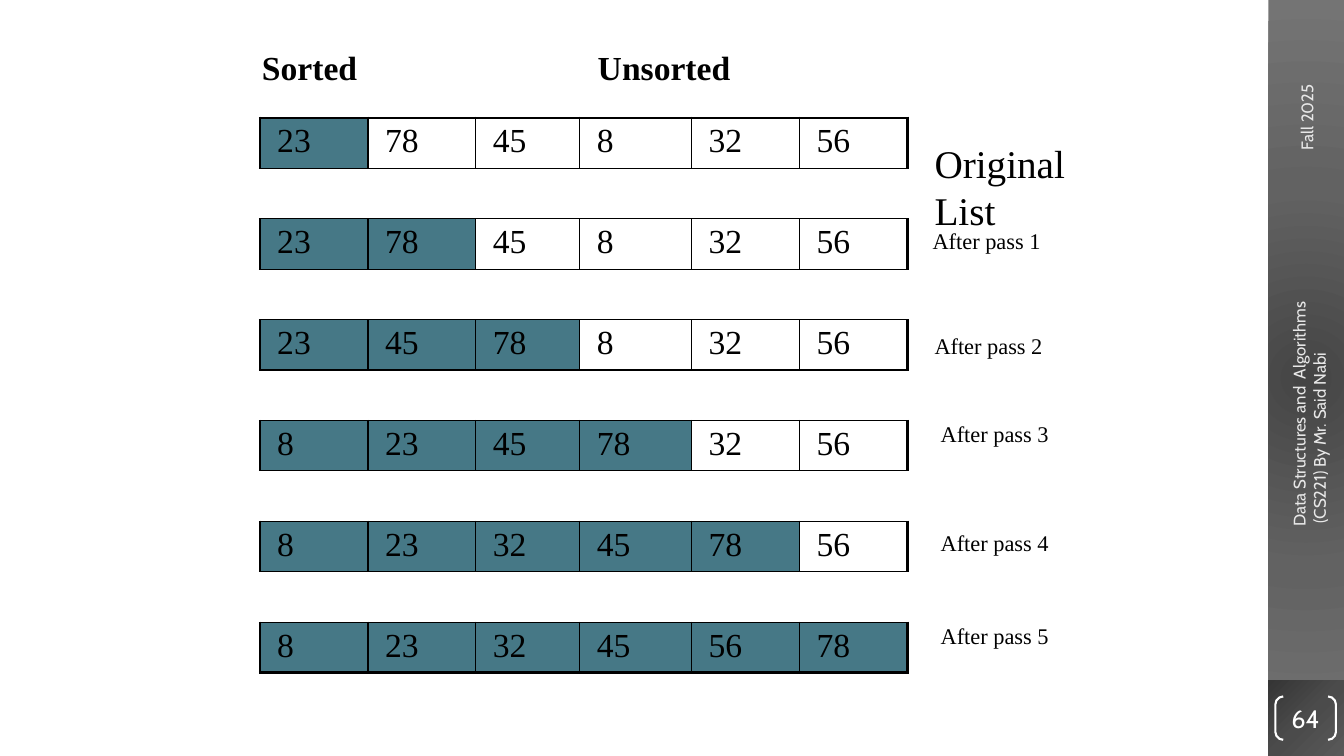
"""Build a slide that traces the passes of an insertion sort."""
import dataclasses

import lxml.etree
import pptx
import pptx.dml.color
import pptx.enum.shapes
import pptx.enum.text
import pptx.oxml.ns
import pptx.util

Inches = pptx.util.Inches
Pt = pptx.util.Pt
Shape = pptx.enum.shapes.MSO_SHAPE
qn = pptx.oxml.ns.qn


@dataclasses.dataclass(frozen=True)
class Theme:
    serif: str = "Times New Roman"
    sans: str = "Cabin"
    ink: str = "000000"
    pale: str = "E8E8E8"
    white: str = "FFFFFF"
    teal: str = "467886"
    band: tuple = ("454545", "626262", "747474")
    corner: tuple = ("353535", "4B4B4B", "595959")
    small: int = 12
    label: int = 16
    page: int = 18
    value: int = 24
    title: int = 28
    thin: float = 1
    frame: float = 1.5
    thick: float = 2.25
    plain: str = "{2D5ABB26-0587-4C30-8999-92F81FD0307C}"


THEME = Theme()
START = (23, 78, 45, 8, 32, 56)
WIDTHS = (1.07, 1.07, 1.03, 1.11, 1.07, 1.07)
ROW = 0.5
LABELS = (
    ("Original List", 9.17, 1.33, THEME.title, None),
    ("After pass 1", 9.25, 2.25, THEME.label, 0),
    ("After pass 2", 9.17, 3.25, THEME.label, None),
    ("After pass 3", 9.33, 4.17, THEME.label, 0),
    ("After pass 4", 9.33, 5.25, THEME.label, 0),
    ("After pass 5", 9.33, 6.17, THEME.label, 0),
)


def rgb(code):
    return pptx.dml.color.RGBColor.from_string(code)


def write(frame, text, size=THEME.value, font=THEME.serif, color=THEME.ink,
          bold=False, align=None, inset=None):
    frame.word_wrap = True
    if inset is not None:
        frame.margin_left = frame.margin_right = Inches(inset)
        frame.margin_top = frame.margin_bottom = Inches(inset)
    for num, line in enumerate(text.split("\n")):
        para = frame.add_paragraph() if num else frame.paragraphs[0]
        para.alignment = align
        run = para.add_run()
        run.text = line
        run.font.size = Pt(size)
        run.font.name = font
        run.font.bold = bold
        run.font.color.rgb = rgb(color)


def add_text(slide, text, box, turn=0, **form):
    shape = slide.shapes.add_textbox(*map(Inches, box))
    shape.rotation = turn
    write(shape.text_frame, text, **form)


def add_panel(slide, box, colors, focus):
    """Draw a borderless block whose gradient spreads from the focus."""
    shape = slide.shapes.add_shape(Shape.RECTANGLE, *map(Inches, box))
    shape.shadow.inherit = False
    shape.line.fill.background()
    shape.fill.background()
    grad = lxml.etree.Element(qn("a:gradFill"), rotWithShape="1")
    stops = lxml.etree.SubElement(grad, qn("a:gsLst"))
    for num, color in enumerate(colors):
        stop = lxml.etree.SubElement(stops, qn("a:gs"), pos=str(num * 50000))
        lxml.etree.SubElement(stop, qn("a:srgbClr"), val=color)
    ring = lxml.etree.SubElement(grad, qn("a:path"), path="circle")
    lxml.etree.SubElement(ring, qn("a:fillToRect"), **{
        side: str(share * 1000) for side, share in zip("ltrb", focus)})
    props = shape.element.spPr
    props.replace(props.find(qn("a:noFill")), grad)


def add_page(slide, text, box):
    shape = slide.shapes.add_shape(Shape.DOUBLE_BRACKET, *map(Inches, box))
    shape.shadow.inherit = False
    shape.adjustments[0] = 0.18
    shape.fill.background()
    shape.line.color.rgb = rgb(THEME.white)
    shape.line.width = Pt(THEME.frame)
    shape.text_frame.vertical_anchor = pptx.enum.text.MSO_ANCHOR.MIDDLE
    write(shape.text_frame, text, size=THEME.page, font=THEME.sans,
          color=THEME.white, align=pptx.enum.text.PP_ALIGN.CENTER, inset=0)


def edge(cell, **widths):
    props = cell._tc.get_or_add_tcPr()
    for side, width in widths.items():
        line = lxml.etree.SubElement(
            props, qn("a:ln" + side), w=str(int(Pt(width))))
        fill = lxml.etree.SubElement(line, qn("a:solidFill"))
        lxml.etree.SubElement(fill, qn("a:srgbClr"), val=THEME.ink)


def passes(values):
    """List the values after each pass, with the first item sorted."""
    return [sorted(values[:count]) + list(values[count:])
            for count in range(1, len(values) + 1)]


def add_trace(slide, lists, left, top):
    """Place the lists on every other table row, tinting sorted cells."""
    rows, cols = 2 * len(lists) - 1, len(WIDTHS)
    shape = slide.shapes.add_table(
        rows, cols, Inches(left), Inches(top),
        Inches(sum(WIDTHS)), Inches(rows * ROW))
    shape.element.find(".//" + qn("a:tableStyleId")).text = THEME.plain
    table = shape.table
    table.first_row = table.horz_banding = False
    for col, width in zip(table.columns, WIDTHS):
        col.width = Inches(width)
    for row in table.rows:
        row.height = Inches(ROW)
    for cell in table.iter_cells():
        cell.fill.background()
    for step, values in enumerate(lists):
        for col, value in enumerate(values):
            cell = table.cell(2 * step, col)
            cell.margin_left = Inches(0.17)
            write(cell.text_frame, str(value))
            props = cell._tc.get_or_add_tcPr()
            props.remove(props.find(qn("a:noFill")))
            outer = {"L": col == 0, "R": col == cols - 1,
                     "T": step == 0, "B": step == len(lists) - 1}
            edge(cell, **{side: THEME.thick if far else THEME.thin
                          for side, far in outer.items()})
            if col <= step:
                cell.fill.solid()
                cell.fill.fore_color.rgb = rgb(THEME.teal)
            else:
                cell.fill.background()


def main():
    deck = pptx.Presentation()
    deck.slide_width, deck.slide_height = Inches(13.33), Inches(7.5)
    slide = deck.slides.add_slide(deck.slide_layouts[6])
    add_panel(slide, (12.58, 0, 0.75, 7.5), THEME.band, (50, 50, 50, 50))
    add_panel(slide, (12.58, 6.75, 0.75, 0.75), THEME.corner, (0, 0, 100, 100))
    side = {"turn": 270, "size": THEME.small, "font": THEME.sans,
            "color": THEME.pale}
    add_text(slide, "Fall 2025", (12.25, 0.73, 1.42, 0.3), **side)
    add_text(slide, "Data Structures and  Algorithms\n (CS221) By Mr. Said Nabi",
             (11.65, 3.74, 2.67, 0.5), **side)
    add_page(slide, "64", (12.65, 6.91, 0.6, 0.43))
    for text, left, top, size, inset in LABELS:
        add_text(slide, text, (left, top, 1.88, 0.38), size=size, inset=inset)
    add_trace(slide, passes(START), 2.58, 1.17)
    for text, left in (("Sorted", 2.5), ("Unsorted", 5.83)):
        add_text(slide, text, (left, 0.42, 1.58, 0.5), bold=True)
    deck.save("out.pptx")


if __name__ == "__main__":
    main()
